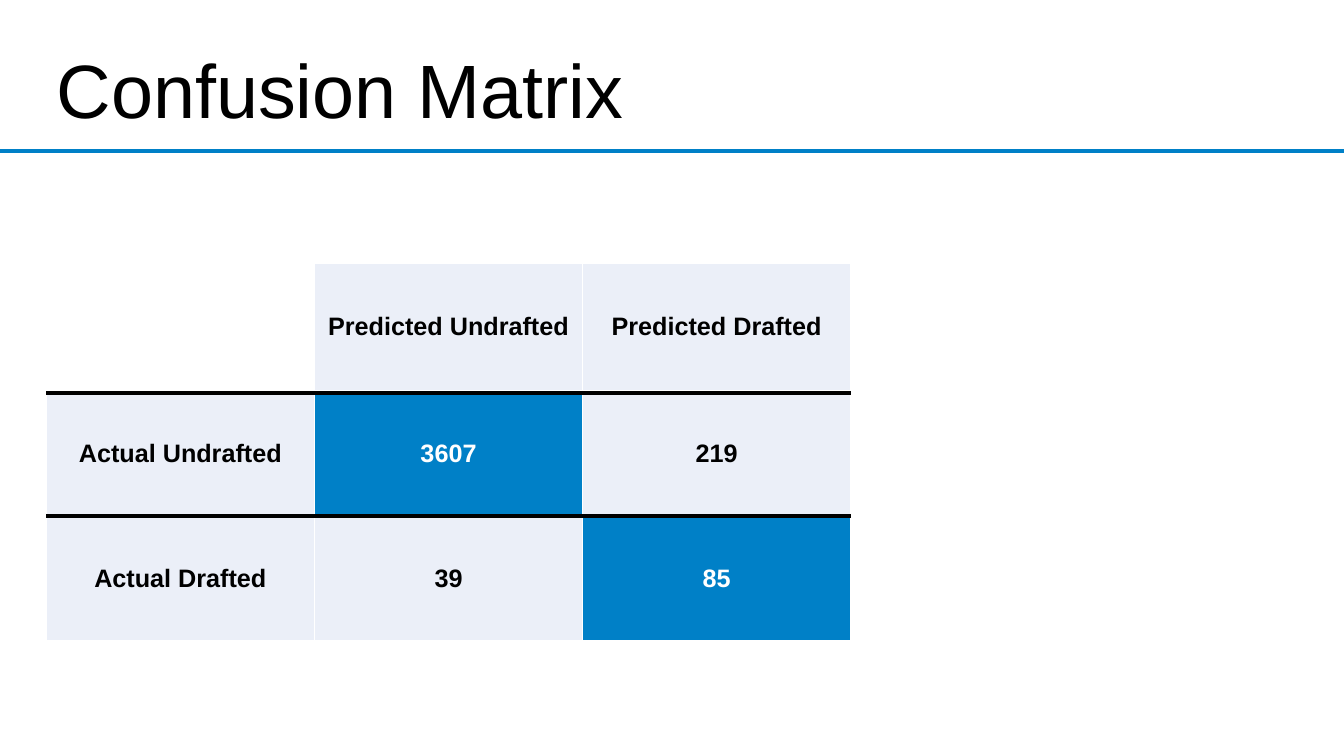
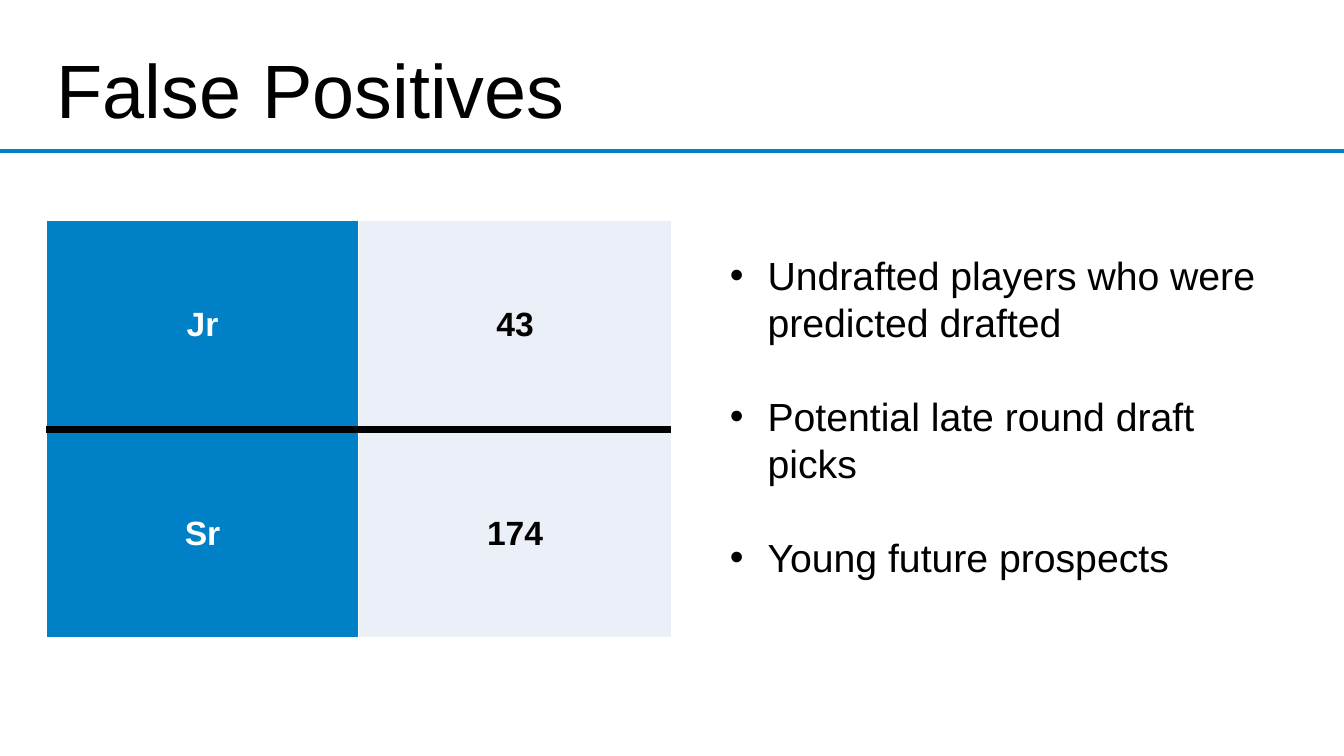
from lxml.etree import SubElement
from pptx import Presentation
from pptx.dml.color import RGBColor
from pptx.enum.shapes import MSO_CONNECTOR
from pptx.enum.text import MSO_ANCHOR, MSO_AUTO_SIZE, PP_ALIGN
from pptx.oxml.ns import qn
from pptx.util import Emu, Pt

PX = 9144
W, H = 1333, 750
LEFT = 46
FONT = "Arial"
COLORS = {"blue": "0080C7", "pale": "EBEFF8", "black": "000000", "white": "FFFFFF"}


def px(*values):
    return [Emu(v * PX) for v in values]


def write(p, text, size=18, color="black", bold=False, align=PP_ALIGN.LEFT,
          spacing=1.0, after=0):
    p.alignment = align
    p.line_spacing = spacing
    p.space_before = Pt(0)
    p.space_after = Pt(after)
    r = p.add_run()
    r.text = text
    r.font.name = FONT
    r.font.size = Pt(size)
    r.font.bold = bold
    r.font.color.rgb = RGBColor.from_string(COLORS[color])


prs = Presentation()
prs.slide_width, prs.slide_height = Emu(12192000), Emu(H * PX)

slides = [
    {
        "title": "Confusion Matrix",
        "layout": 5,
        "top": 261,
        "col": 266,
        "rows": [127, 124, 124],
        "size": 18,
        "cells": [
            ["", "Predicted Undrafted", "Predicted Drafted"],
            ["Actual Undrafted", "3607", "219"],
            ["Actual Drafted", "39", "85"],
        ],
        "blue": ["3607", "85"],
        "dividers": [390, 512],
        "weight": 3.25,
        "bullets": [],
    },
    {
        "title": "False Positives",
        "layout": 1,
        "top": 219,
        "col": 310,
        "rows": [207, 207],
        "size": 24,
        "cells": [["Jr", "43"], ["Sr", "174"]],
        "blue": ["Jr", "Sr"],
        "dividers": [426],
        "weight": 4.5,
        "bullets": [
            "Undrafted players who were predicted drafted",
            "Potential late round draft picks",
            "Young future prospects",
        ],
    },
]

for spec_row in slides:
    s = prs.slides.add_slide(prs.slide_layouts[spec_row["layout"]])

    title = s.shapes.title
    title.left, title.top, title.width, title.height = px(LEFT, 46, 1072, 94)
    tf = title.text_frame
    tf.auto_size = MSO_AUTO_SIZE.NONE
    tf.vertical_anchor = MSO_ANCHOR.MIDDLE
    write(tf.paragraphs[0], spec_row["title"], size=54, spacing=0.9)

    rows, col = spec_row["rows"], spec_row["col"]
    n_cols = len(spec_row["cells"][0])
    width = col * n_cols
    table = s.shapes.add_table(len(rows), n_cols,
                               *px(LEFT, spec_row["top"], width, sum(rows))).table
    table.first_row = False
    table.horz_banding = False
    for column in table.columns:
        column.width = Emu(col * PX)
    for row, height, texts in zip(table.rows, rows, spec_row["cells"]):
        row.height = Emu(height * PX)
        for cell, text in zip(row.cells, texts):
            tcPr = cell._tc.get_or_add_tcPr()
            for side in ("lnL", "lnR", "lnT", "lnB"):
                ln = SubElement(tcPr, qn(f"a:{side}"), w=str(Pt(1)))
                fill = SubElement(ln, qn("a:solidFill"))
                SubElement(fill, qn("a:srgbClr"), val=COLORS["white"])
            is_blue = text in spec_row["blue"]
            color = "blue" if is_blue else "pale" if text else "white"
            cell.fill.solid()
            cell.fill.fore_color.rgb = RGBColor.from_string(COLORS[color])
            cell.vertical_anchor = MSO_ANCHOR.MIDDLE
            if text:
                write(cell.text_frame.paragraphs[0], text, size=spec_row["size"],
                      color="white" if is_blue else "black", bold=True,
                      align=PP_ALIGN.CENTER)

    lines = [(0, W, 150, "blue", 2.5)]
    lines += [(LEFT, LEFT + width, y, "black", spec_row["weight"])
              for y in spec_row["dividers"]]
    for x1, x2, y, color, weight in lines:
        line = s.shapes.add_connector(MSO_CONNECTOR.STRAIGHT, *px(x1, y, x2, y))
        line.line.color.rgb = RGBColor.from_string(COLORS[color])
        line.line.width = Pt(weight)
        SubElement(line._element.spPr, qn("a:effectLst"))

    if spec_row["bullets"]:
        body = s.placeholders[1]
        body.left, body.top, body.width, body.height = px(714, 244, 573, 500)
        tf = body.text_frame
        tf.auto_size = MSO_AUTO_SIZE.NONE
        tf.vertical_anchor = MSO_ANCHOR.TOP
        for i, text in enumerate(spec_row["bullets"]):
            p = tf.add_paragraph() if i else tf.paragraphs[0]
            write(p, text, size=28, spacing=Pt(33.6), after=33.6)

prs.save("out.pptx")
